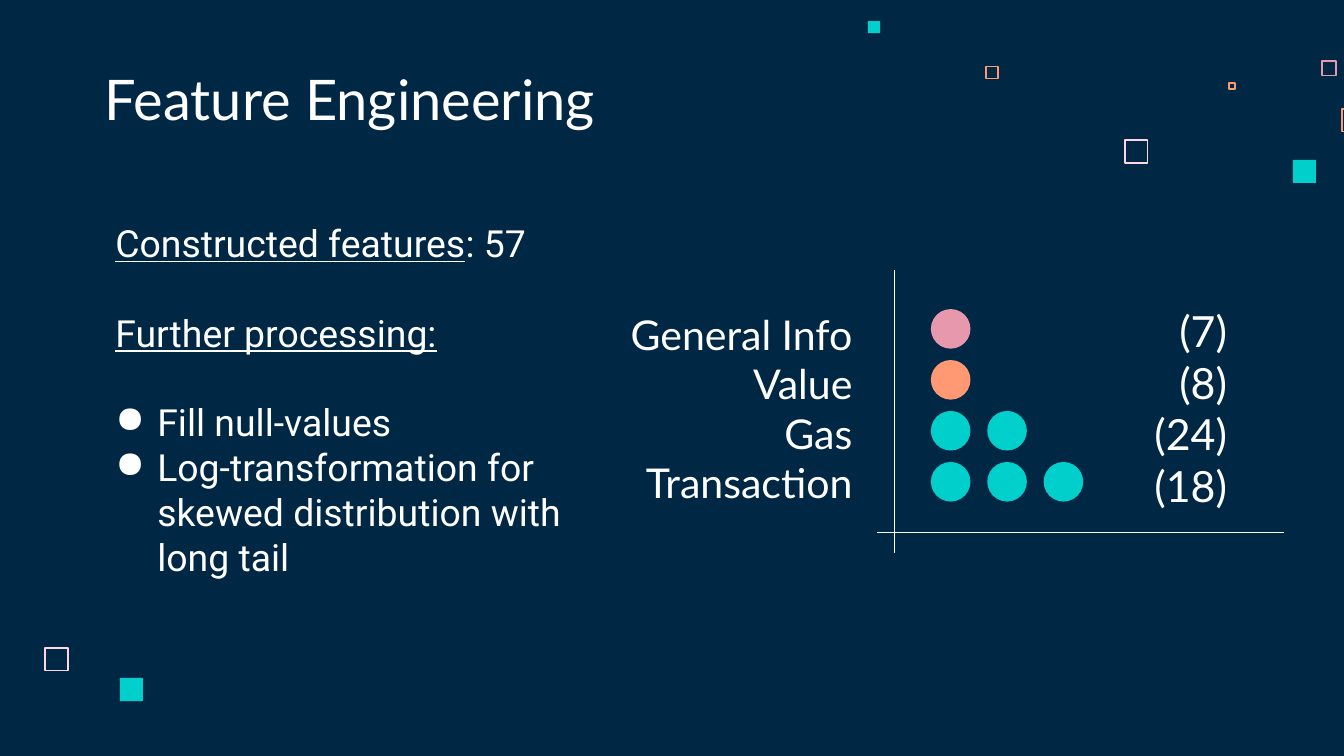
"""Build the Feature Engineering slide with feature counts shown as dots."""
from lxml.etree import SubElement
from pptx import Presentation
from pptx.dml.color import RGBColor
from pptx.enum.shapes import MSO_CONNECTOR, MSO_SHAPE
from pptx.enum.text import MSO_ANCHOR, PP_ALIGN
from pptx.oxml.ns import qn
from pptx.util import Pt

NAVY, WHITE = "002845", "FFFFFF"
TEAL, ORANGE, PINK, PALE = "00CFCC", "FF9973", "E898AC", "FFD6E1"


def color(code):
    return RGBColor.from_string(code)


def write(para, text, font="Lato", size=20, fill=WHITE, underline=False):
    span = para.add_run()
    span.text = text
    span.font.name = font
    span.font.size = Pt(size)
    span.font.color.rgb = color(fill)
    span.font.underline = underline


class Painter:
    bullet_indent = 22.5
    inset = 7.2

    def __init__(self, page):
        self.page = page
        page.background.fill.solid()
        page.background.fill.fore_color.rgb = color(NAVY)

    def text_box(self, left, top, width, height, anchor=MSO_ANCHOR.BOTTOM):
        box = self.page.shapes.add_textbox(Pt(left), Pt(top), Pt(width), Pt(height))
        frame = box.text_frame
        frame.word_wrap = True
        frame.vertical_anchor = anchor
        frame.margin_left = frame.margin_right = Pt(self.inset)
        frame.margin_top = frame.margin_bottom = Pt(self.inset)
        return frame

    def paragraph(self, frame, before=0, align=PP_ALIGN.LEFT):
        first = frame.paragraphs[0]
        para = frame.add_paragraph() if first.runs else first
        para.space_before = Pt(before)
        para.alignment = align
        return para

    def column(self, frame, lines, size):
        for line in lines:
            write(self.paragraph(frame, align=PP_ALIGN.RIGHT), line, size=size)

    def bullet(self, frame, text, before=0, **style):
        para = self.paragraph(frame, before)
        properties = para._p.get_or_add_pPr()
        properties.set("marL", str(Pt(self.bullet_indent)))
        properties.set("indent", str(-Pt(self.bullet_indent)))
        SubElement(properties, qn("a:buChar"), char="●")
        write(para, text, **style)

    def shape(self, kind, left, top, size, line, weight, fill=None):
        shape = self.page.shapes.add_shape(kind, Pt(left), Pt(top), Pt(size), Pt(size))
        shape.shadow.inherit = False
        if fill:
            shape.fill.solid()
            shape.fill.fore_color.rgb = color(fill)
        else:
            shape.fill.background()
        if weight:
            shape.line.color.rgb = color(line)
            shape.line.width = Pt(weight)
        else:
            shape.line.fill.background()

    def solid_square(self, left, top, size):
        self.shape(MSO_SHAPE.RECTANGLE, left, top, size, TEAL, 0, TEAL)

    def hollow_square(self, left, top, size, line, weight=1):
        self.shape(MSO_SHAPE.RECTANGLE, left + weight / 2, top + weight / 2,
                   size - weight, line, weight)

    def dot(self, left, top, fill):
        self.shape(MSO_SHAPE.FLOWCHART_CONNECTOR, left, top, 19.2, fill, 2, fill)

    def rule(self, left, top, right, bottom):
        line = self.page.shapes.add_connector(
            MSO_CONNECTOR.STRAIGHT, Pt(left), Pt(top), Pt(right), Pt(bottom))
        line.line.color.rgb = color(WHITE)
        line.line.width = Pt(0.6)
        SubElement(line._element.spPr, qn("a:effectLst"))


def main():
    deck = Presentation()
    deck.slide_width, deck.slide_height = Pt(720), Pt(405)
    painter = Painter(deck.slides.add_slide(deck.slide_layouts[6]))

    for square in [(602, 74.7, 13.3, PALE), (707.5, 32.2, 8.8, PINK),
                   (658, 43.8, 4.4, ORANGE), (718.3, 57.7, 13.3, ORANGE),
                   (527.8, 35.2, 7.4, ORANGE), (23.8, 346.5, 13.3, PALE)]:
        painter.hollow_square(*square)
    for square in [(692.7, 85.7, 12.3), (465, 11.3, 6.5), (64.2, 363.2, 12.4)]:
        painter.solid_square(*square)

    title = painter.text_box(49, 32.4, 372.2, 45.4)
    write(painter.paragraph(title), "Feature Engineering", size=30)

    body = painter.text_box(54.7, 110.9, 273.6, 218.9, MSO_ANCHOR.TOP)
    para = painter.paragraph(body)
    write(para, "Constructed features", font="Roboto", underline=True)
    write(para, ": 57", font="Roboto")
    write(painter.paragraph(body, before=24), "Further processing:",
          font="Roboto", underline=True)
    painter.bullet(body, "Fill null-values", before=24, font="Roboto")
    painter.bullet(body, "Log-transformation for skewed distribution with long tail",
                   font="Roboto")

    rows = [("General Info", "(7)", 1, PINK), ("Value", "(8)", 1, ORANGE),
            ("Gas", "(24)", 2, TEAL), ("Transaction", "(18)", 3, TEAL)]
    labels, counts, dots, fills = zip(*rows)
    painter.column(painter.text_box(303.1, 162, 160.6, 116.6), labels, size=22)
    painter.column(painter.text_box(609.8, 164.2, 54.7, 116.6), counts, size=23)
    painter.rule(470, 285.4, 688, 285.4)
    painter.rule(479.2, 144.7, 479.2, 296.3)
    for row, (amount, fill) in enumerate(zip(dots, fills)):
        for place in range(amount):
            painter.dot(499.7 + 30.2 * place, 166.6 + 27.3 * row, fill)

    deck.save("out.pptx")


if __name__ == "__main__":
    main()
